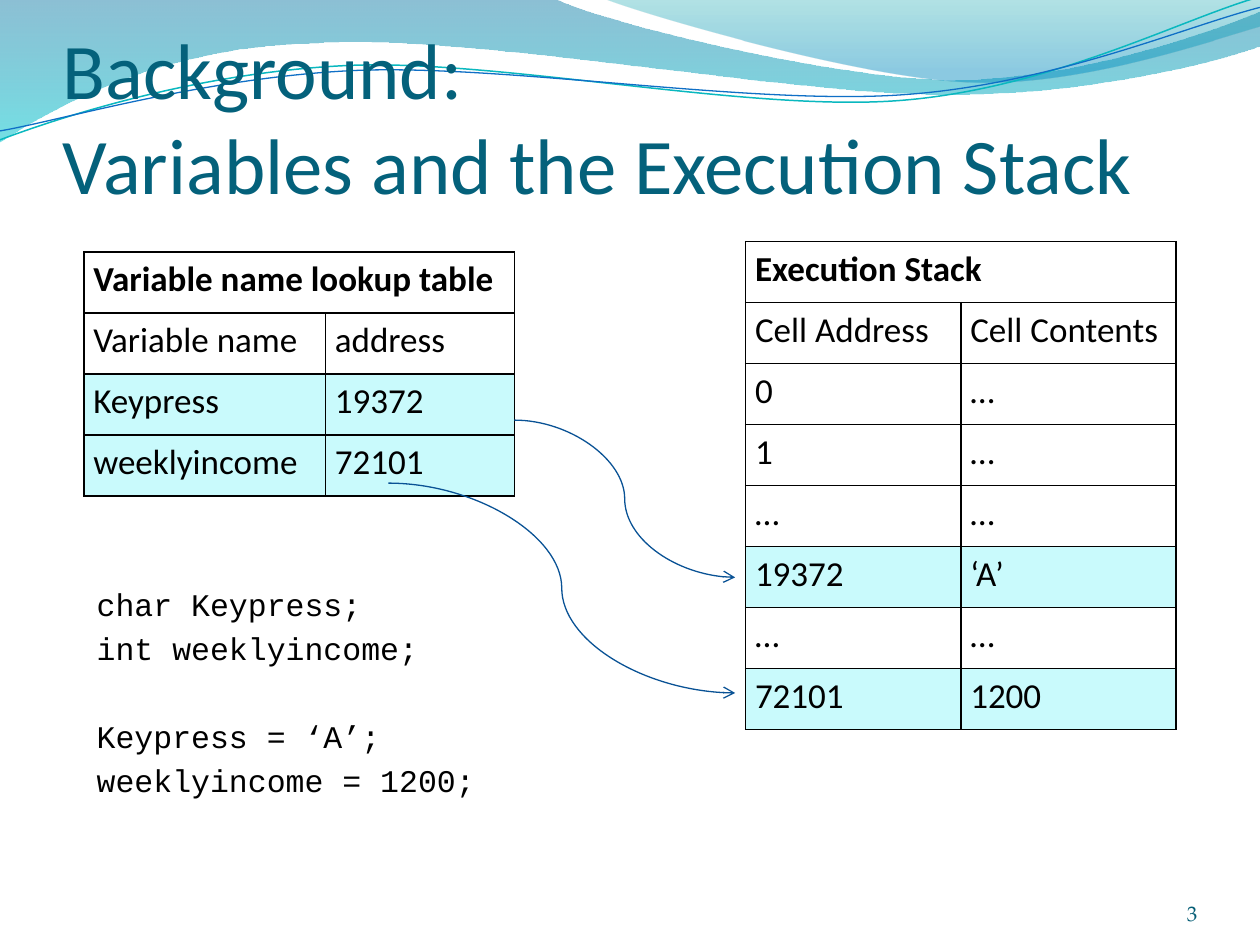
from dataclasses import dataclass
from typing import NamedTuple

import lxml.etree
import pptx
import pptx.dml.color
import pptx.enum.shapes
import pptx.enum.text
import pptx.oxml.ns
import pptx.util

Cm, Pt = pptx.util.Cm, pptx.util.Pt
Color = pptx.dml.color.RGBColor.from_string
Align, Anchor = pptx.enum.text.PP_ALIGN, pptx.enum.text.MSO_ANCHOR
qn = pptx.oxml.ns.qn


@dataclass(frozen=True)
class Theme:
    black: str = "000000"
    title: str = "04617B"
    number: str = "045D75"
    highlight: str = "C9FAFC"
    arrow: str = "095295"
    sans: str = "Calibri"
    mono: str = "Courier New"
    serif: str = "TeX Gyre Pagella"
    title_size: float = 45
    table_size: float = 20
    code_size: float = 18
    number_size: float = 12


THEME = Theme()


class Stop(NamedTuple):
    position: float
    color: str
    opacity: int  # percent


class Wave(NamedTuple):
    """Points in cm; a segment has one point (straight) or three (curve)."""
    start: tuple
    segments: list
    stops: tuple = ()
    line: tuple = ()  # colour, width in points


class Grid(NamedTuple):
    left: float
    top: float
    columns: tuple
    heading: str
    rows: list
    highlighted: set


class TextBox(NamedTuple):
    bounds: tuple
    lines: list
    font: str
    size: float
    color: str
    margins: tuple = (0, 0, 0, 0)  # left, top, right, bottom
    anchor: Anchor = Anchor.BOTTOM
    align: Align = Align.LEFT
    gaps: tuple = (0,)  # points before each line


class Arrow(NamedTuple):
    start: tuple
    end: tuple


WAVES = [
    Wave((0, 0), [
        [(11.18, -0.03)],
        [(12.09, 0.43), (16.87, 1.6), (19.25, 1.6)],
        [(21.67, 1.6), (24.33, 0.66), (25.4, 0.23)],
        [(25.43, 0.91)],
        [(24.97, 1.12), (22.1, 1.93), (18.95, 1.9)],
        [(15.8, 1.9), (9.7, 0.71), (6.53, 0.86)],
        [(3.28, 0.91), (1.17, 2.11), (-0.03, 2.87)],
    ], stops=(Stop(0, "0074A1", 45), Stop(1, "00C6CF", 55))),
    Wave((12.17, -0.03), [
        [(12.93, 0.28), (17.32, 1.57), (19.53, 1.65)],
        [(21.74, 1.75), (24.41, 0.81), (25.4, 0.53)],
        [(25.4, 0)],
    ], stops=(Stop(0, "00A1A9", 30), Stop(0.8, "008BBF", 45))),
    Wave((0, 2.82), [
        [(1.22, 2.36), (4.01, 1.45), (7.04, 1.32)],
        [(10.03, 1.19), (15.06, 2.26), (18.11, 2.03)],
        [(21.16, 1.8), (23.83, 0.38), (25.35, -0.05)],
    ], line=("0AB8BF", 0.85)),
    Wave((0, 2.64), [
        [(1.19, 2.44), (4.17, 1.55), (7.19, 1.42)],
        [(10.24, 1.3), (15.16, 2.13), (18.21, 1.91)],
        [(21.23, 1.7), (23.9, 0.53), (25.4, 0.15)],
    ], line=("0F6FC6", 0.75)),
]

TEXTS = [
    TextBox((1.27, 1.05, 22.86, 3.18), ["Background:\vVariables and the Execution Stack"],
            THEME.sans, THEME.title_size, THEME.title, margins=(0, 0.13, 0, 0)),
    TextBox((1.7, 11.66, 13.13, 6.12),
            ["char Keypress;", "int weeklyincome;", "Keypress = ‘A’;", "weeklyincome = 1200;"],
            THEME.mono, THEME.code_size, THEME.black, margins=(0.25, 0.13, 0.25, 0.13),
            anchor=Anchor.TOP, gaps=(0, 3.6, 28.7, 3.6)),
    TextBox((22.02, 17.65, 2.12, 1.02), ["3"], THEME.serif, THEME.number_size,
            THEME.number, align=Align.RIGHT),
]

ROW_HEIGHT = 1.23
GRIDS = [
    Grid(15.03, 4.87, (4.34, 4.34), "Execution Stack",
         [("Cell Address", "Cell Contents"), ("0", "…"), ("1", "…"), ("…", "…"),
          ("19372", "‘A’"), ("…", "…"), ("72101", "1200")], {5, 7}),
    Grid(1.69, 5.08, (4.87, 3.81), "Variable name lookup table",
         [("Variable name", "address"), ("Keypress", "19372"), ("weeklyincome", "72101")],
         {2, 3}),
]

ARROWS = [Arrow((10.37, 8.47), (14.82, 11.64)), Arrow((7.83, 9.74), (14.82, 13.97))]


def bend_segments(shape, segments: list) -> None:
    """Join the three straight steps of each curved segment into one curve."""
    steps = iter(list(shape._element.spPr.iter(qn("a:lnTo"))))
    for segment in segments:
        nodes = [next(steps) for _ in segment]
        if len(nodes) == 3:
            curve = lxml.etree.Element(qn("a:cubicBezTo"))
            nodes[0].addprevious(curve)
            for node in nodes:
                curve.append(node[0])
                node.getparent().remove(node)


def draw_wave(page, wave: Wave) -> None:
    builder = page.shapes.build_freeform(*map(Cm, wave.start))
    points = [(Cm(x), Cm(y)) for segment in wave.segments for x, y in segment]
    builder.add_line_segments(points, close=False)
    shape = builder.convert_to_shape()
    bend_segments(shape, wave.segments)
    shape.shadow.inherit = False
    if wave.line:
        color, width = wave.line
        shape.fill.background()
        shape.line.color.rgb = Color(color)
        shape.line.width = Pt(width)
        return
    outline = next(shape._element.spPr.iter(qn("a:path")))
    lxml.etree.SubElement(outline, qn("a:close"))
    shape.line.fill.background()
    shape.fill.gradient()
    shape.fill.gradient_angle = 270
    for target, stop in zip(shape.fill.gradient_stops, wave.stops):
        target.color.rgb = Color(stop.color)
        target.position = stop.position
    for node, stop in zip(shape._element.spPr.iter(qn("a:srgbClr")), wave.stops):
        lxml.etree.SubElement(node, qn("a:alpha"), val=str(stop.opacity * 1000))


def style_font(para, name: str, size: float, color: str, bold: bool = False) -> None:
    font = para.font
    font.name, font.size, font.bold = name, Pt(size), bold
    font.color.rgb = Color(color)


def draw_text(page, text: TextBox) -> None:
    frame = page.shapes.add_textbox(*map(Cm, text.bounds)).text_frame
    frame.word_wrap = True
    frame.vertical_anchor = text.anchor
    (frame.margin_left, frame.margin_top,
     frame.margin_right, frame.margin_bottom) = map(Cm, text.margins)
    frame.text = "\n".join(text.lines)
    for para, gap in zip(frame.paragraphs, text.gaps):
        para.alignment = text.align
        para.space_before = Pt(gap)
        style_font(para, text.font, text.size, text.color)


def draw_borders(cell) -> None:
    properties = cell._tc.get_or_add_tcPr()
    for side in ("a:lnL", "a:lnR", "a:lnT", "a:lnB"):
        line = lxml.etree.SubElement(properties, qn(side), w=str(Pt(1)))
        fill = lxml.etree.SubElement(line, qn("a:solidFill"))
        lxml.etree.SubElement(fill, qn("a:srgbClr"), val=THEME.black)


def draw_grid(page, grid: Grid) -> None:
    rows = [(grid.heading, ""), *grid.rows]
    table = page.shapes.add_table(
        len(rows), len(grid.columns), Cm(grid.left), Cm(grid.top),
        Cm(sum(grid.columns)), Cm(ROW_HEIGHT * len(rows))).table
    table.first_row = table.horz_banding = False
    for column, width in zip(table.columns, grid.columns):
        column.width = Cm(width)
    table.cell(0, 0).merge(table.cell(0, len(grid.columns) - 1))
    for r, row in enumerate(rows):
        table.rows[r].height = Cm(ROW_HEIGHT)
        for c, words in enumerate(row):
            cell = table.cell(r, c)
            cell.margin_left = cell.margin_right = Cm(0.19)
            cell.margin_top = cell.margin_bottom = Cm(0)
            cell.text = words
            para = cell.text_frame.paragraphs[0]
            para.line_spacing = 1.15
            style_font(para, THEME.sans, THEME.table_size, THEME.black, bold=r == 0)
            draw_borders(cell)
            if r in grid.highlighted:
                cell.fill.solid()
                cell.fill.fore_color.rgb = Color(THEME.highlight)
            else:
                cell.fill.background()


def draw_arrow(page, arrow: Arrow) -> None:
    connector = page.shapes.add_connector(
        pptx.enum.shapes.MSO_CONNECTOR.CURVE, *map(Cm, arrow.start + arrow.end))
    connector.line.color.rgb = Color(THEME.arrow)
    connector.line.width = Pt(0.75)
    lxml.etree.SubElement(connector.line._get_or_add_ln(), qn("a:tailEnd"), type="arrow")
    lxml.etree.SubElement(connector._element.spPr, qn("a:effectLst"))


def main() -> None:
    deck = pptx.Presentation()
    deck.slide_width, deck.slide_height = Cm(25.4), Cm(19.05)
    page = deck.slides.add_slide(deck.slide_layouts[6])
    # Waves behind, then text, tables and arrows
    for draw, items in ((draw_wave, WAVES), (draw_text, TEXTS),
                        (draw_grid, GRIDS), (draw_arrow, ARROWS)):
        for item in items:
            draw(page, item)
    deck.save("out.pptx")


if __name__ == "__main__":
    main()
